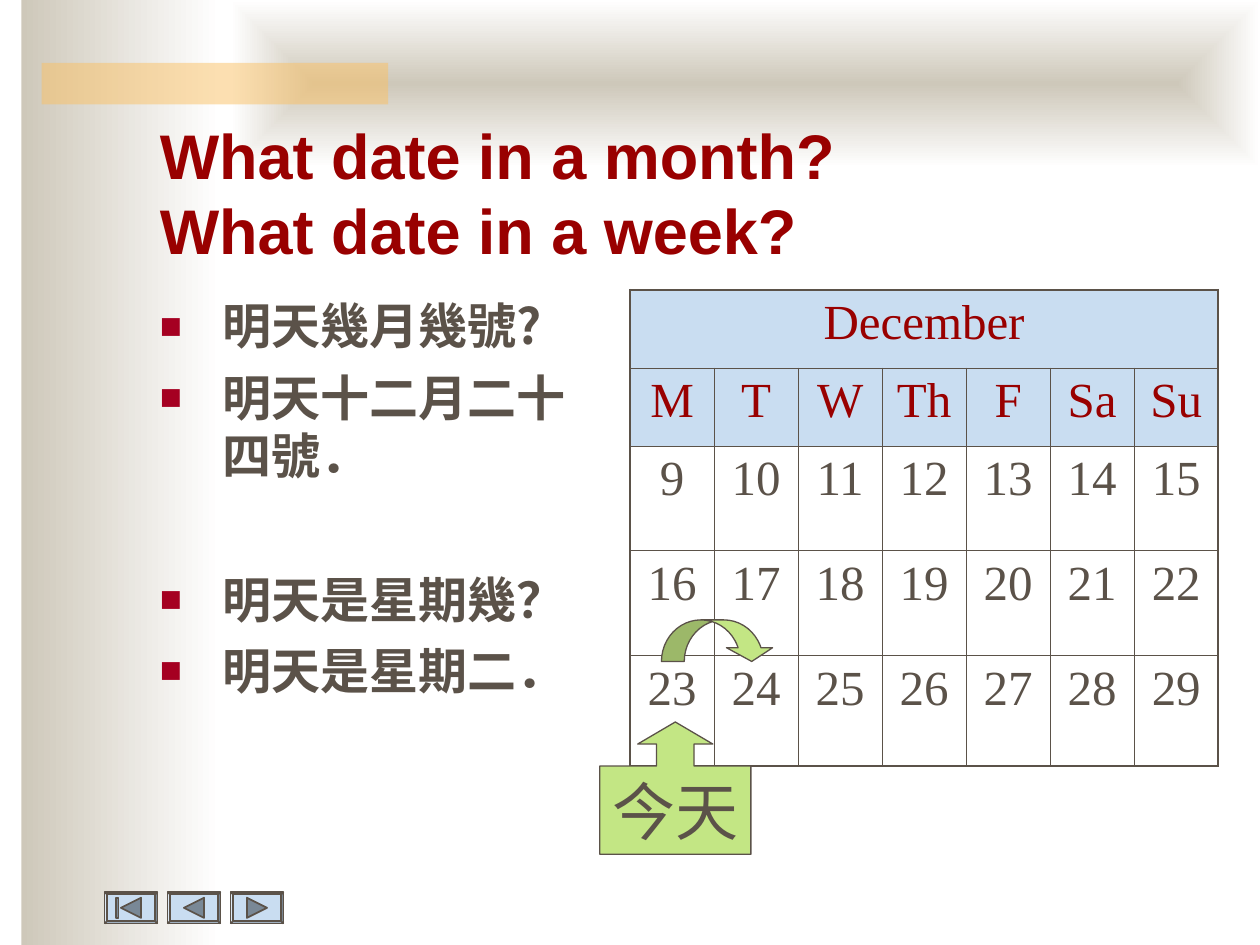
import dataclasses

import lxml.etree
import pptx
import pptx.dml.color
import pptx.enum.shapes
import pptx.enum.text
import pptx.oxml
import pptx.oxml.ns
import pptx.util

Inches, Pt = pptx.util.Inches, pptx.util.Pt
Kind = pptx.enum.shapes.MSO_SHAPE
Anchor = pptx.enum.text.MSO_ANCHOR
Align = pptx.enum.text.PP_ALIGN
qn = pptx.oxml.ns.qn
NS = 'xmlns:a="http://schemas.openxmlformats.org/drawingml/2006/main"'


@dataclasses.dataclass(frozen=True)
class Theme:
    ink: str = "5B5249"
    heading: str = "990000"
    bullet: str = "A50021"
    sand: str = "CEC8BA"
    paper: str = "FFFFFF"
    amber: str = "FAC164"
    sky: str = "C9DDF1"
    icon: str = "798896"
    green: str = "C3E684"
    sans: str = "Arial"
    serif: str = "Times New Roman"
    chinese: str = "Noto Sans CJK TC"
    large: int = 36
    normal: int = 28
    gap: int = 7
    hairline: float = 0.45
    border: float = 1.08


THEME = Theme()


def color(value):
    return pptx.dml.color.RGBColor.from_string(value)


def add_span(para, text, font, size, tint, bold=False):
    span = para.add_run()
    span.text = text
    span.font.name, span.font.size, span.font.bold = font, Pt(size), bold
    span.font.color.rgb = color(tint)
    east = lxml.etree.Element(qn("a:ea"), typeface=THEME.chinese)
    span.font._element.find(qn("a:latin")).addnext(east)


def style(shape, fill, line=None, width=1.0):
    shape.shadow.inherit = False
    shape.fill.solid()
    shape.fill.fore_color.rgb = color(fill)
    if line:
        shape.line.color.rgb = color(line)
        shape.line.width = Pt(width)
    else:
        shape.line.fill.background()


def add_shape(page, kind, box, fill, line=None, width=1.0, adjust=()):
    shape = page.shapes.add_shape(kind, *map(Inches, box))
    style(shape, fill, line, width)
    for index, value in enumerate(adjust):
        shape.adjustments[index] = value
    return shape


def add_text_frame(page, box, anchor):
    frame = page.shapes.add_textbox(*map(Inches, box)).text_frame
    frame.word_wrap = True
    frame.vertical_anchor = anchor
    return frame


def add_gradient(page, box, direction):
    shape = add_shape(page, Kind.RECTANGLE, box, THEME.sand)
    gradient = pptx.oxml.parse_xml(
        f'<a:gradFill {NS} rotWithShape="1"><a:gsLst>'
        f'<a:gs pos="0"><a:srgbClr val="{THEME.sand}"/></a:gs>'
        f'<a:gs pos="100000"><a:srgbClr val="{THEME.paper}"/></a:gs>'
        f'</a:gsLst>{direction}</a:gradFill>')
    solid = shape._element.spPr.find(qn("a:solidFill"))
    solid.getparent().replace(solid, gradient)


def add_backdrop(page, box):
    left, top, width, height = box
    add_gradient(page, (left + 0.17, top, 1.58, height), '<a:lin ang="0" scaled="0"/>')
    add_gradient(page, (left + 1.83, top, width - 1.83, 1.33),
                 '<a:path path="rect"><a:fillToRect l="50000" t="50000" '
                 'r="50000" b="50000"/></a:path>')
    accent = add_shape(page, Kind.RECTANGLE, (left + 0.33, top + 0.5, 2.75, 0.33), THEME.amber)
    tint = accent._element.spPr.find(qn("a:solidFill"))[0]
    lxml.etree.SubElement(tint, qn("a:alpha"), val="50000")


def add_button(page, box, forward, bar):
    left, top, width, height = box
    add_shape(page, Kind.BEVEL, box, THEME.sky, THEME.ink, adjust=[0.07])
    # Triangle, pointing right when forward
    start, end = left + width / 2 - 0.08, left + width / 2 + 0.08
    middle = top + height / 2
    tip, base = (end, start) if forward else (start, end)
    builder = page.shapes.build_freeform(Inches(tip), Inches(middle))
    builder.add_line_segments([(Inches(base), Inches(middle - 0.08)),
                               (Inches(base), Inches(middle + 0.08))])
    style(builder.convert_to_shape(), THEME.icon, THEME.ink)
    if bar:
        add_shape(page, Kind.RECTANGLE, (start - 0.04, middle - 0.08, 0.02, 0.16),
                  THEME.icon, THEME.ink)


def add_navigation(page, box):
    left, top, pitch, height = box
    for index, (forward, bar) in enumerate([(False, True), (False, False), (True, False)]):
        add_button(page, (left + index * pitch, top, 0.42, height), forward, bar)


def add_title(page, box, lines):
    para = add_text_frame(page, box, Anchor.BOTTOM).paragraphs[0]
    for index, line in enumerate(lines):
        if index:
            para.add_line_break()
        add_span(para, line, THEME.sans, THEME.large, THEME.heading, True)


def add_questions(page, box, groups):
    frame = add_text_frame(page, box, Anchor.TOP)
    for group_index, group in enumerate(groups):
        for index, text in enumerate(group):
            first = group_index == index == 0
            para = frame.paragraphs[0] if first else frame.add_paragraph()
            new_group = group_index and not index
            para.space_before = Pt(48.5 if new_group else THEME.gap)
            properties = para._element.get_or_add_pPr()
            properties.set("marL", str(Inches(0.5)))
            properties.set("indent", str(Inches(-0.5)))
            for xml in (f'<a:buClr {NS}><a:srgbClr val="{THEME.bullet}"/></a:buClr>',
                        f'<a:buSzPct {NS} val="75000"/>',
                        f'<a:buFont {NS} typeface="{THEME.sans}"/>',
                        f'<a:buChar {NS} char="■"/>'):
                properties.append(pptx.oxml.parse_xml(xml))
            add_span(para, text, THEME.chinese, THEME.normal, THEME.ink, True)


def set_borders(cell, outer_sides):
    properties = cell._tc.get_or_add_tcPr()
    for side in "LRTB":
        width = Pt(THEME.border if side in outer_sides else THEME.hairline)
        properties.append(pptx.oxml.parse_xml(
            f'<a:ln{side} {NS} w="{int(width)}"><a:solidFill>'
            f'<a:srgbClr val="{THEME.ink}"/></a:solidFill></a:ln{side}>'))


def add_calendar(page, box, month, days, weeks, heights):
    rows = [[month] + [""] * (len(days) - 1), days, *weeks]
    last_row, last_column = len(rows) - 1, len(days) - 1
    table = page.shapes.add_table(len(rows), len(days), *map(Inches, box)).table
    table.first_row = table.horz_banding = False
    for column in table.columns:
        column.width = Inches(box[2] / len(days))
    for row, height in zip(table.rows, heights):
        row.height = Inches(height)
    table.cell(0, 0).merge(table.cell(0, last_column))
    for r, row in enumerate(rows):
        header = r < 2
        for c, text in enumerate(row):
            cell = table.cell(r, c)
            edges = {"L": c == 0, "R": c == last_column or r == 0,
                     "T": r == 0, "B": r == last_row}
            set_borders(cell, [side for side, outer in edges.items() if outer])
            if header:
                cell.fill.solid()
                cell.fill.fore_color.rgb = color(THEME.sky)
            else:
                cell.fill.background()
            if text:
                para = cell.text_frame.paragraphs[0]
                para.alignment = Align.CENTER
                para.space_before = Pt(THEME.gap)
                add_span(para, str(text), THEME.serif, THEME.normal,
                         THEME.heading if header else THEME.ink)


def add_today_marker(page, box, label):
    left, top, width, height = box
    # Hop from today to tomorrow
    add_shape(page, Kind.CURVED_DOWN_ARROW, (left + 0.49, top, 0.9, 0.33),
              THEME.green, THEME.ink, 0.75, [0.55, 1.11, 0.33])
    # Callout under today
    callout = add_shape(page, Kind.UP_ARROW_CALLOUT, (left, top + 0.81, width, height - 0.81),
                        THEME.green, THEME.ink, 0.75, [0.284, 0.284, 0.167, 0.667])
    frame = callout.text_frame
    frame.word_wrap = False
    frame.vertical_anchor = Anchor.MIDDLE
    para = frame.paragraphs[0]
    para.alignment = Align.CENTER
    add_span(para, label, THEME.serif, THEME.large, THEME.ink)


def main():
    deck = pptx.Presentation()
    deck.slide_width, deck.slide_height = Inches(10), Inches(7.5)
    page = deck.slides.add_slide(deck.slide_layouts[6])
    add_backdrop(page, (0, 0, 10, 7.5))
    add_navigation(page, (0.83, 7.08, 0.5, 0.25))
    add_title(page, (1.17, 0.92, 8.5, 1.25), ["What date in a month?", "What date in a week?"])
    add_questions(page, (1.17, 2.3, 3.5, 4.5),
                  [["明天幾月幾號?", "明天十二月二十四號．"], ["明天是星期幾？", "明天是星期二．"]])
    add_calendar(page, (5, 2.3, 4.67, 3.78), "December",
                 ["M", "T", "W", "Th", "F", "Sa", "Su"],
                 [range(start, start + 7) for start in (9, 16, 23)],
                 [0.62, 0.62, 0.83, 0.83, 0.88])
    add_today_marker(page, (4.76, 4.92, 1.2, 1.86), "今天")
    deck.save("out.pptx")


if __name__ == "__main__":
    main()
